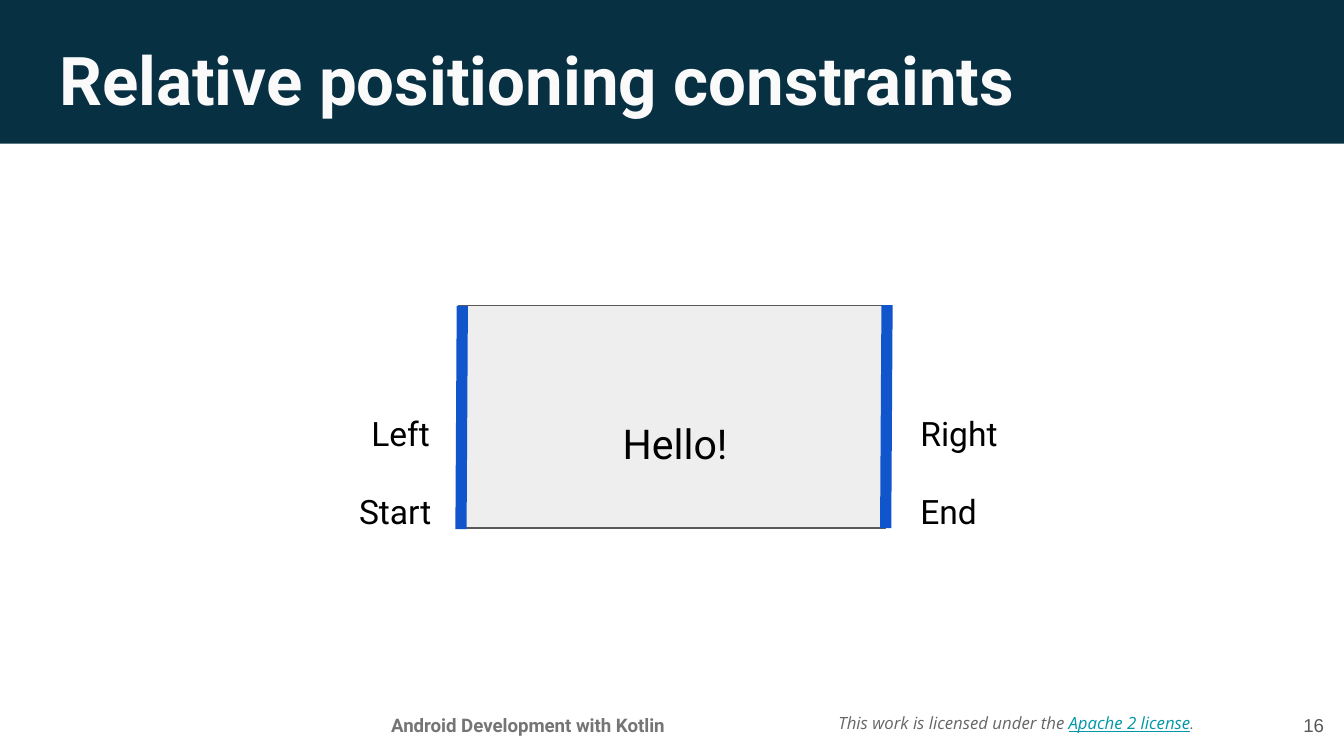
"""Build the slide on relative positioning constraints, on a grid of 100 columns by 56.25 rows."""
from dataclasses import dataclass

from lxml.etree import SubElement
from pptx import Presentation
from pptx.dml.color import RGBColor
from pptx.enum.shapes import MSO_CONNECTOR as Connector, MSO_SHAPE as Preset
from pptx.enum.text import MSO_ANCHOR as Anchor, MSO_AUTO_SIZE as AutoSize, PP_ALIGN as Align
from pptx.oxml.ns import qn
from pptx.util import Inches, Pt

COLORS = {
    "band": "073042", "heading": "FAFAFA", "view": "EEEEEE", "outline": "595959",
    "edge": "1155CC", "label": "000000", "course": "757575", "license": "666666",
    "link": "0097A7", "page": "595959",
}
COLUMNS, ROWS = 100, 56.25
WIDTH = Inches(10)
HEIGHT = WIDTH * 9 // 16


@dataclass(frozen=True)
class Area:
    column: float
    row: float
    columns: float
    rows: float

    def box(self) -> tuple[int, int, int, int]:
        return (across(self.column), down(self.row), across(self.columns), down(self.rows))


@dataclass(frozen=True)
class Piece:
    text: str
    size: float
    color: str
    font: str = "Roboto"
    bold: bool = False
    italic: bool = False
    underline: bool = False


@dataclass(frozen=True)
class Caption:
    area: Area
    pieces: tuple[Piece, ...]
    align: Align = Align.LEFT
    anchor: Anchor = Anchor.MIDDLE


@dataclass(frozen=True)
class Panel:
    area: Area
    fill: str
    outline: str | None = None


@dataclass(frozen=True)
class Edge:
    column: float
    row: float


def across(columns: float) -> int:
    return round(WIDTH * columns / COLUMNS)


def down(rows: float) -> int:
    return round(HEIGHT * rows / ROWS)


def rgb(name: str) -> RGBColor:
    return RGBColor.from_string(COLORS[name])


def write(frame, caption: Caption) -> None:
    frame.word_wrap = True
    frame.auto_size = AutoSize.NONE
    frame.vertical_anchor = caption.anchor
    frame.margin_left = frame.margin_right = frame.margin_top = frame.margin_bottom = Inches(0.1)
    paragraph = frame.paragraphs[0]
    paragraph.alignment = caption.align
    for piece in caption.pieces:
        run = paragraph.add_run()
        run.text = piece.text
        font = run.font
        font.name, font.size = piece.font, Pt(piece.size)
        font.bold, font.italic, font.underline = piece.bold, piece.italic, piece.underline
        font.color.rgb = rgb(piece.color)


def draw_panel(slide, panel: Panel) -> None:
    shape = slide.shapes.add_shape(Preset.RECTANGLE, *panel.area.box())
    shape.shadow.inherit = False
    shape.fill.solid()
    shape.fill.fore_color.rgb = rgb(panel.fill)
    if panel.outline:
        shape.line.color.rgb = rgb(panel.outline)
        shape.line.width = Pt(0.75)
    else:
        shape.line.fill.background()


def draw_caption(slide, caption: Caption) -> None:
    write(slide.shapes.add_textbox(*caption.area.box()).text_frame, caption)


def draw_edge(slide, edge: Edge) -> None:
    line = slide.shapes.add_connector(
        Connector.STRAIGHT, across(edge.column), down(edge.row),
        across(edge.column + EDGE_LEAN), down(edge.row - EDGE_RISE))
    line.line.color.rgb = rgb("edge")
    line.line.width = Pt(6)
    SubElement(line.element.spPr, qn("a:effectLst"))


def place_title(slide, heading: Caption) -> None:
    title = slide.shapes.title
    title.left, title.top, title.width, title.height = heading.area.box()
    write(title.text_frame, heading)
    title.element.getparent().append(title.element)


def side_label(text: str, area: Area) -> Caption:
    return Caption(area, (Piece(text, 18, "label"),))


EDGE_LEAN, EDGE_RISE = 0.1, 16.6
PANELS = (
    Panel(Area(-0.1, -0.4, 100.1, 11.1), "band"),
    Panel(Area(34.1, 22.73, 31.8, 16.57), "view", "outline"),
)
HEADING = Caption(Area(3.4, 1.85, 93.2, 6.3),
                  (Piece("Relative positioning constraints", 36, "heading", bold=True),),
                  anchor=Anchor.TOP)
CAPTIONS = (
    Caption(Area(25.13, 52.1, 28.3, 3.2),
            (Piece("Android Development with Kotlin", 10, "course", bold=True),),
            Align.CENTER, Anchor.TOP),
    Caption(Area(61.4, 51.44, 29.4, 4.7), (
        Piece("This work is licensed under the ", 9, "license", "Open Sans", italic=True),
        Piece("Apache 2 license", 9, "link", "Open Sans", italic=True, underline=True),
        Piece(".", 9, "license", italic=True))),
    Caption(Area(93.5, 51.8, 6, 4.3), (Piece("16", 10, "page", "Arial"),), Align.RIGHT),
    side_label("Left", Area(26.64, 30.74, 6.8, 3)),
    side_label("Start", Area(25.73, 36.54, 9.2, 3)),
    side_label("Right", Area(67.5, 29.7, 14.3, 5.1)),
    side_label("End", Area(67.5, 35.5, 14.3, 5.1)),
    Caption(Area(34.33, 28, 31.8, 7.8), (Piece("Hello!", 22, "label"),),
            Align.CENTER, Anchor.BOTTOM),
)
EDGES = (Edge(34.3, 39.37), Edge(65.9, 39.3))


def main() -> None:
    deck = Presentation()
    deck.slide_width, deck.slide_height = WIDTH, HEIGHT
    slide = deck.slides.add_slide(deck.slide_layouts.get_by_name("Title Only"))
    for panel in PANELS:
        draw_panel(slide, panel)
    place_title(slide, HEADING)
    for caption in CAPTIONS:
        draw_caption(slide, caption)
    for edge in EDGES:
        draw_edge(slide, edge)
    deck.save("out.pptx")


if __name__ == "__main__":
    main()
